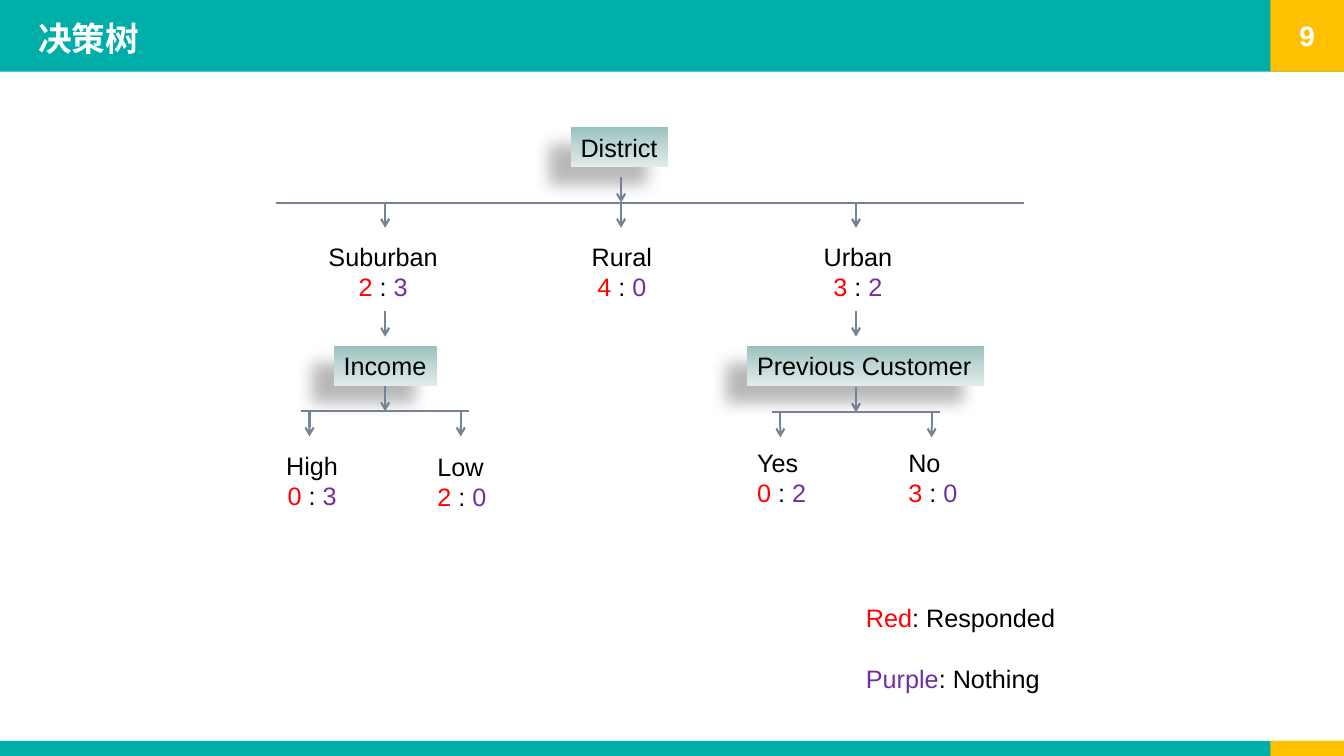
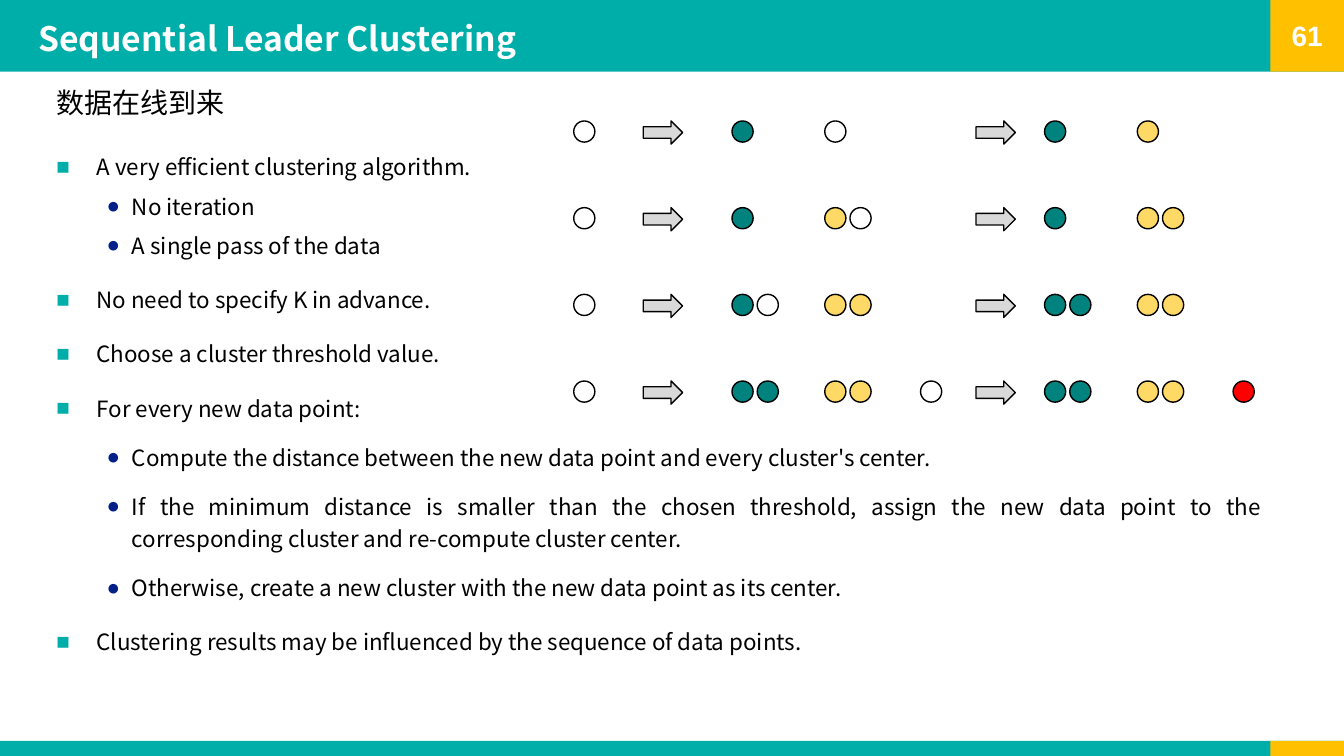
from copy import deepcopy

from lxml.etree import SubElement
from pptx import Presentation
from pptx.dml.color import RGBColor
from pptx.enum.shapes import MSO_CONNECTOR, MSO_SHAPE
from pptx.enum.text import MSO_ANCHOR, MSO_AUTO_SIZE, PP_ALIGN
from pptx.oxml.ns import qn
from pptx.util import Inches, Pt

TEAL = RGBColor(0x00, 0xAE, 0xA9)
AMBER = RGBColor(0xFF, 0xC0, 0x00)
WHITE = RGBColor(0xFF, 0xFF, 0xFF)
BLACK = RGBColor(0x00, 0x00, 0x00)
RED = RGBColor(0xFF, 0x00, 0x00)
PURPLE = RGBColor(0x70, 0x30, 0xA0)
SLATE = RGBColor(0x76, 0x83, 0x95)
NAVY = RGBColor(0x03, 0x20, 0x89)
SILVER = RGBColor(0xD9, 0xD9, 0xD9)
NODE_GRADIENT = (RGBColor(0x98, 0xC1, 0xBE), RGBColor(0xC1, 0xD8, 0xD6),
                 RGBColor(0xE1, 0xEB, 0xEA))
CLUSTER_COLOURS = (RGBColor(0x00, 0x82, 0x7E), RGBColor(0xFF, 0xD9, 0x66), RED)

SANS = "Arial"
CJK = "Noto Sans CJK SC"
DROP = 0.25


class Deck:
    """Holds the shared style and the slide being built."""

    def __init__(self):
        self.presentation = Presentation()
        self.presentation.slide_width = Inches(13.33)
        self.presentation.slide_height = Inches(7.5)
        self.slide = None

    def new_slide(self, heading, number):
        """Start a slide with its bands, page number and title."""
        self.slide = self.presentation.slides.add_slide(self.presentation.slide_layouts[5])
        title = self.slide.shapes.title
        for top, height in ((0, 0.71), (7.35, 0.15)):
            for left, width, colour in ((0, 13.33, TEAL), (12.6, 0.73, AMBER)):
                band = self.shape(MSO_SHAPE.RECTANGLE, left, top, width, height, colour)
                title.element.addprevious(band.element)
                if colour == AMBER and top == 0:
                    band.text_frame.vertical_anchor = MSO_ANCHOR.MIDDLE
                    self.paragraph(band.text_frame, [(number, WHITE)], 20, bold=True,
                                   align=PP_ALIGN.CENTER)
        title.left, title.top = Inches(0.28), Inches(0.05)
        title.width, title.height = Inches(12), Inches(0.58)
        title.text_frame.vertical_anchor = MSO_ANCHOR.BOTTOM
        self.paragraph(title.text_frame, [(heading, WHITE)], 24, CJK, bold=True, spacing=0.9)

    def shape(self, kind, left, top, width, height, fill, outline=None, group=None):
        """Add a flat preset shape to the slide or to a group."""
        shape = (group or self.slide).shapes.add_shape(
            kind, Inches(left), Inches(top), Inches(width), Inches(height))
        shape.shadow.inherit = False
        shape.fill.solid()
        shape.fill.fore_color.rgb = fill
        if outline is None:
            shape.line.fill.background()
        else:
            shape.line.color.rgb = outline
            shape.line.width = Pt(1)
        return shape

    def paragraph(self, frame, runs, size, font=SANS, bold=False, align=PP_ALIGN.LEFT,
                  spacing=None, before=0):
        """Write a paragraph made of (text, colour) runs."""
        is_first = not frame.text
        paragraph = frame.paragraphs[0] if is_first else frame.add_paragraph()
        paragraph.alignment = align
        paragraph.space_before = Pt(0 if is_first else before)
        if spacing:
            paragraph.line_spacing = spacing
        for text, colour in runs:
            run = paragraph.add_run()
            run.text = text
            run.font.size = Pt(size)
            run.font.bold = bold
            run.font.color.rgb = colour
            run.font.name = font
            SubElement(run.font._element, qn("a:ea"), typeface=font)
        return paragraph

    def bullet(self, frame, text, level, spacing, before, align=PP_ALIGN.LEFT):
        """Write a bulleted paragraph at level 0 or 1."""
        mark, colour, margin, hang = (("■", TEAL, 0.4, 0.4), ("●", NAVY, 0.75, 0.25))[level]
        paragraph = self.paragraph(frame, [(text, BLACK)], 16, CJK, align=align,
                                   spacing=spacing, before=before)
        paragraph.level = level
        properties = paragraph._p.get_or_add_pPr()
        properties.set("marL", str(Inches(margin)))
        properties.set("indent", str(-Inches(hang)))
        bullet_colour = SubElement(properties, qn("a:buClr"))
        SubElement(bullet_colour, qn("a:srgbClr"), val=str(colour))
        SubElement(properties, qn("a:buFont"), typeface=SANS)
        SubElement(properties, qn("a:buChar"), char=mark)

    def text_box(self, left, top, width, height, wrap=True):
        """Add an empty text box and return its frame."""
        frame = self.slide.shapes.add_textbox(
            Inches(left), Inches(top), Inches(width), Inches(height)).text_frame
        frame.word_wrap = wrap
        return frame

    def node(self, label, left, top, width):
        """Add a shaded decision node."""
        node = self.shape(MSO_SHAPE.RECTANGLE, left, top, width, 0.4, WHITE)
        node.fill.gradient()
        node.fill.gradient_angle = 270
        stop_list = node.element.spPr.find(".//" + qn("a:gsLst"))
        stop_list.insert(1, deepcopy(stop_list[0]))
        for stop, colour, position in zip(node.fill.gradient_stops, NODE_GRADIENT, (0, 0.5, 1)):
            stop.color.rgb = colour
            stop.position = position
        effects = node.element.spPr.find(qn("a:effectLst"))
        shadow = SubElement(effects, qn("a:outerShdw"), blurRad=str(Pt(11.8)),
                            dist=str(Pt(19.7)), dir=str(141 * 60000), algn="ctr", rotWithShape="0")
        shade = SubElement(shadow, qn("a:srgbClr"), val=str(BLACK))
        SubElement(shade, qn("a:alpha"), val="28000")
        frame = node.text_frame
        frame.word_wrap = False
        frame.auto_size = MSO_AUTO_SIZE.SHAPE_TO_FIT_TEXT
        frame.vertical_anchor = MSO_ANCHOR.TOP
        self.paragraph(frame, [(label, BLACK)], 18)
        return node

    def outcome(self, label, responded, nothing, left, top, width):
        """Add a branch value with its two counts."""
        frame = self.text_box(left, top, width, 0.71, wrap=False)
        frame.auto_size = MSO_AUTO_SIZE.SHAPE_TO_FIT_TEXT
        self.paragraph(frame, [(label, BLACK)], 18)
        self.paragraph(frame, [(responded, RED), (" : ", BLACK), (nothing, PURPLE)], 18,
                       align=PP_ALIGN.CENTER)

    def line(self, x1, y1, x2, y2, arrow=False):
        """Add a straight line, with an arrowhead if asked."""
        line = self.slide.shapes.add_connector(
            MSO_CONNECTOR.STRAIGHT, Inches(x1), Inches(y1), Inches(x2), Inches(y2))
        line.line.color.rgb = SLATE
        line.line.width = Pt(1.5)
        if arrow:
            SubElement(line.line._get_or_add_ln(), qn("a:tailEnd"), type="arrow")
        SubElement(line.element.spPr, qn("a:effectLst"))
        return line

    def down_arrow(self, x, top):
        """Add a short arrow pointing down."""
        return self.line(x, top, x, top + DROP, arrow=True)

    def split(self, trunk, y, left, right, children):
        """Add a trunk arrow, a bar and an arrow per child; return the trunk."""
        self.line(left, y, right, y)
        for child in children:
            self.down_arrow(child, y)
        return self.down_arrow(trunk, y - DROP)


def decision_tree(deck):
    """Build the decision tree slide."""
    deck.new_slide("决策树", "9")
    deck.node("District", 5.66, 1.26, 0.97)
    income = deck.node("Income", 3.31, 3.43, 1.02)
    deck.node("Previous Customer", 7.41, 3.43, 2.35)

    suburban, rural, urban = 3.82, 6.16, 8.49
    deck.split(rural, 2.01, 2.74, 10.16, (suburban, rural, urban))
    for district, y in ((suburban, 4.08), (urban, 4.09)):
        deck.down_arrow(district, 3.09)
        trunk = deck.split(district, y, district - 0.83, district + 0.83,
                           (district - 0.75, district + 0.75))
        if district == suburban:
            trunk.begin_connect(income, 2)

    for outcome in (
        ("Suburban", "2", "3", 3.16, 2.34, 1.3),
        ("Rural", "4", "0", 5.77, 2.34, 0.81),
        ("Urban", "3", "2", 8.07, 2.34, 0.89),
        ("High", "0", "3", 2.74, 4.42, 0.72),
        ("Low", "2", "0", 4.24, 4.43, 0.69),
        ("Yes", "0", "2", 7.41, 4.39, 0.69),
        ("No", "3", "0", 8.91, 4.39, 0.69),
    ):
        deck.outcome(*outcome)

    legend = deck.text_box(8.49, 5.93, 2.24, 1.01)
    deck.paragraph(legend, [("Red", RED), (": Responded", BLACK)], 18)
    deck.paragraph(legend, [("Purple", PURPLE), (": Nothing", BLACK)], 18, before=22)


def leader_clustering(deck):
    """Build the sequential leader clustering slide."""
    deck.new_slide("Sequential Leader Clustering", "61")
    points = deck.text_box(0.46, 1.42, 12.15, 5.2)
    for point in (
        ("A very efficient clustering algorithm.", 0, 1.2, 10),
        ("No iteration", 1, 1.2, 5),
        ("A single pass of the data", 1, 1.2, 5),
        ("No need to specify K in advance.", 0, 1.5, 10),
        ("Choose a cluster threshold value.", 0, 1.5, 10),
        ("For every new data point:", 0, 1.5, 10),
        ("Compute the distance between the new data point and every cluster's center.",
         1, 1.2, 12),
        ("If the minimum distance is smaller than the chosen threshold, assign the new data "
         "point to the corresponding cluster and re-compute cluster center.",
         1, 1.2, 12, PP_ALIGN.JUSTIFY),
        ("Otherwise, create a new cluster with the new data point as its center.", 1, 1.2, 12),
        ("Clustering results may be influenced by the sequence of data points.", 0, 1.5, 10),
    ):
        deck.bullet(points, *point)

    subtitle = deck.text_box(0.46, 0.8, 12.15, 0.47)
    subtitle.vertical_anchor = MSO_ANCHOR.MIDDLE
    deck.paragraph(subtitle, [("数据在线到来", BLACK)], 20, CJK, spacing=0.9)

    sizes = [1, 0, 0]
    for step, joined in enumerate((1, 1, 0, 2)):
        top = 1.2 + 0.86 * step
        row = deck.slide.shapes.add_group_shape()

        def dot(left, colour):
            deck.shape(MSO_SHAPE.OVAL, left, top, 0.21, 0.21, colour, BLACK, row)

        dot(5.69, WHITE)
        for left in (6.38, 9.68):
            deck.shape(MSO_SHAPE.RIGHT_ARROW, left, top, 0.39, 0.23, SILVER, BLACK, row)
        sizes[joined] += 1
        for cluster, left in enumerate((7.26, 8.18, 9.13)):
            colour = CLUSTER_COLOURS[cluster]
            for member in range(sizes[cluster]):
                is_new = cluster == joined and member == sizes[cluster] - 1
                place = left + 0.25 * member
                dot(place, WHITE if is_new else colour)
                dot(place + 3.1, colour)


def main():
    """Build and save the deck."""
    deck = Deck()
    decision_tree(deck)
    leader_clustering(deck)
    deck.presentation.save("out.pptx")


if __name__ == "__main__":
    main()
